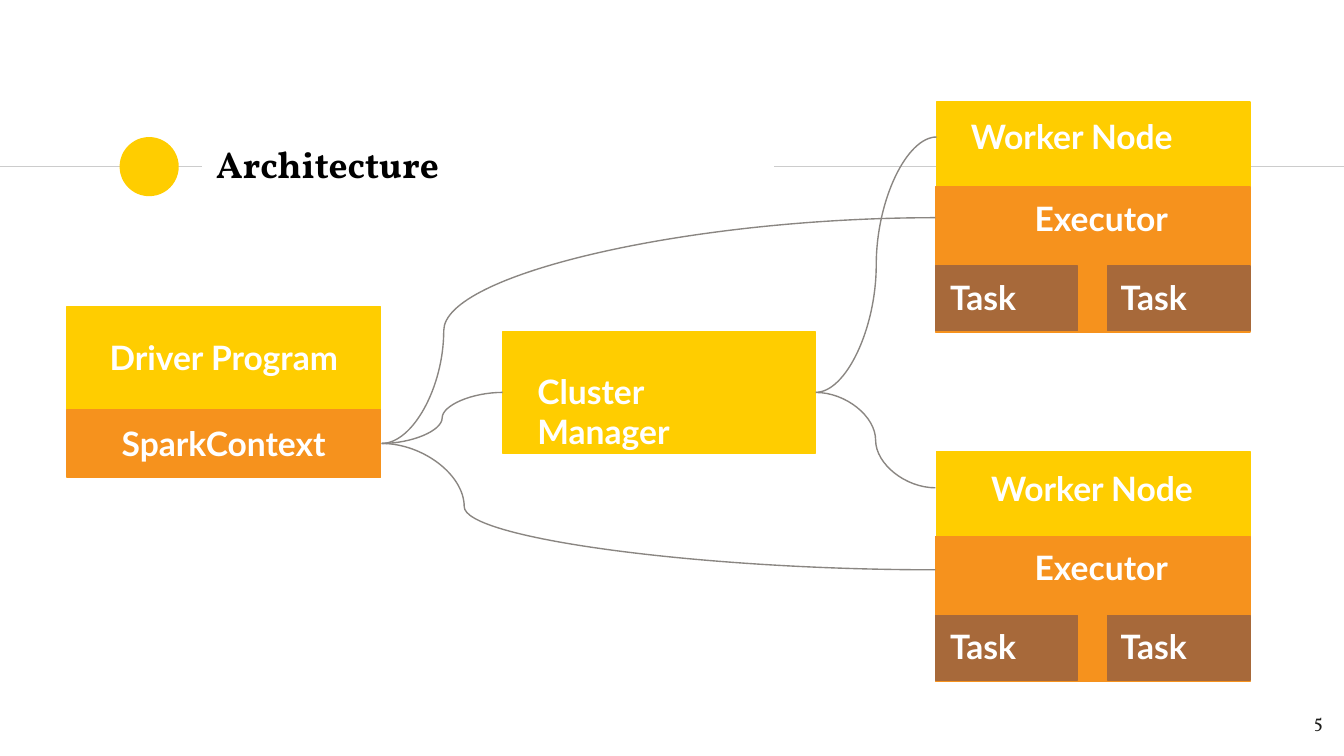
"""Build the cluster architecture slide."""
from pptx import Presentation
from pptx.dml.color import RGBColor
from pptx.enum.shapes import MSO_CONNECTOR, MSO_SHAPE
from pptx.enum.text import MSO_ANCHOR, PP_ALIGN
from pptx.oxml.ns import qn
from pptx.util import Inches, Pt
from lxml import etree

RECTANGLE, ELLIPSE = MSO_SHAPE.RECTANGLE, MSO_SHAPE.OVAL
STRAIGHT, CURVE = MSO_CONNECTOR.STRAIGHT, MSO_CONNECTOR.CURVE
LEFT, CENTER, RIGHT = PP_ALIGN.LEFT, PP_ALIGN.CENTER, PP_ALIGN.RIGHT
TOP, MIDDLE = MSO_ANCHOR.TOP, MSO_ANCHOR.MIDDLE

THEME = {
    "yellow": "FFCD00", "orange": "F6921D", "brown": "A7693A",
    "rule": "CCCCCC", "curve": "8A8682", "line_width": 0.75, "inset": 0.1,
    "title": {"name": "Vollkorn", "size": 20, "bold": True, "color": "000000"},
    "label": {"name": "Lato", "size": 18, "bold": True, "color": "FFFFFF"},
    "number": {"name": "Vollkorn", "size": 10, "bold": False, "color": "1D1D1B"},
}

PAGE_WIDTH, PAGE_HEIGHT = 10, 10 * 9 / 16
BLOCK_WIDTH, LABEL_WIDTH, LABEL_HEIGHT = 2.33, 2.01, 0.5
RULE_Y = 1.24
RULES = [(0, 1.5), (5.76, PAGE_WIDTH)]
DOT_SIZE = 0.44
TITLE = ("Architecture", (1.51, 0.98, 4.24, 0.48))
PAGE_NUMBER = ("5", (9.34, 5.2, 0.6, 0.43))

BLOCKS = [
    ((0.5, 2.28, BLOCK_WIDTH, 1.27), "yellow"),
    ((3.74, 2.47, BLOCK_WIDTH, 0.9), "yellow"),
]
LABELS = [
    ("Cluster Manager", (3.9, 2.66, LABEL_WIDTH, LABEL_HEIGHT), LEFT),
    ("Driver Program", (0.66, 2.41, LABEL_WIDTH, LABEL_HEIGHT), CENTER),
]
CONTEXT = ("SparkContext", (0.5, 3.05, BLOCK_WIDTH, LABEL_HEIGHT), "orange")

WORKERS = [
    {"top": 0.76, "label_at": (6.97, 0.76)},
    {"top": 3.36, "label_at": (7.12, 3.38)},
]
WORKER_LEFT = 6.97
EXECUTOR_LEFT = 6.96
TASK_COLUMNS = [(6.96, 6.97), (8.24, 8.24)]

CONTEXT_PORT, MANAGER_PORT = (2.84, 3.3), (6.07, 2.92)
CURVES = [
    (CONTEXT_PORT, (3.74, 2.92), 0.5),
    (CONTEXT_PORT, (6.96, 4.24), 0.149),
    (CONTEXT_PORT, (6.96, 1.62), 0.112),
    (MANAGER_PORT, (6.97, 1.02), 0.5),
    (MANAGER_PORT, (6.96, 3.63), 0.5),
]


def color(name):
    return RGBColor.from_string(THEME.get(name, name))


def add_block(page, place, fill, kind=RECTANGLE, outlined=True):
    block = page.shapes.add_shape(kind, *map(Inches, place))
    block.shadow.inherit = False
    block.fill.solid()
    block.fill.fore_color.rgb = color(fill)
    if outlined:
        block.line.color.rgb = color(fill)
        block.line.width = Pt(THEME["line_width"])
    else:
        block.line.fill.background()
    return block


def write(box, words, style="label", align=LEFT, anchor=TOP):
    frame = box.text_frame
    inset = Inches(THEME["inset"])
    settings = {"word_wrap": True, "vertical_anchor": anchor}
    settings.update({f"margin_{side}": inset
                     for side in ("left", "top", "right", "bottom")})
    for key, value in settings.items():
        setattr(frame, key, value)
    para = frame.paragraphs[0]
    para.alignment = align
    span = para.add_run()
    span.text = words
    look = THEME[style]
    font = {"name": look["name"], "size": Pt(look["size"]), "bold": look["bold"]}
    for key, value in font.items():
        setattr(span.font, key, value)
    span.font.color.rgb = color(look["color"])


def add_text(page, words, place, **look):
    write(page.shapes.add_textbox(*map(Inches, place)), words, **look)


def add_line(page, start, end, ink, kind=STRAIGHT, bend=None):
    line = page.shapes.add_connector(kind, *map(Inches, (*start, *end)))
    line.line.color.rgb = color(ink)
    line.line.width = Pt(THEME["line_width"])
    properties = line._element.spPr
    etree.SubElement(properties, qn("a:effectLst"))
    if bend is not None:
        geometry = properties.find(qn("a:prstGeom"))
        guides = geometry.find(qn("a:avLst"))
        if guides is None:
            guides = etree.SubElement(geometry, qn("a:avLst"))
        etree.SubElement(guides, qn("a:gd"), name="adj1",
                         fmla=f"val {round(bend * 100000)}")


def add_worker(page, top, label_at):
    add_block(page, (WORKER_LEFT, top, BLOCK_WIDTH, 1.68), "yellow")
    add_text(page, "Worker Node", (*label_at, LABEL_WIDTH, LABEL_HEIGHT), align=CENTER)
    add_block(page, (EXECUTOR_LEFT, top + 0.63, BLOCK_WIDTH + 0.01, 1.08), "orange")
    add_text(page, "Executor", (7.6, top + 0.61, 1.35, LABEL_HEIGHT))
    for block_left, label_left in TASK_COLUMNS:
        add_block(page, (block_left, top + 1.22, 1.06, 0.48), "brown")
        add_text(page, "Task", (label_left, top + 1.2, 0.71, LABEL_HEIGHT))


def main():
    deck = Presentation()
    deck.slide_width, deck.slide_height = Inches(PAGE_WIDTH), Inches(PAGE_HEIGHT)
    page = deck.slides.add_slide(deck.slide_layouts[6])
    for left, right in RULES:
        add_line(page, (left, RULE_Y), (right, RULE_Y), "rule")
    dot = (0.89, RULE_Y - DOT_SIZE / 2, DOT_SIZE, DOT_SIZE)
    add_block(page, dot, "yellow", ELLIPSE, outlined=False)
    add_text(page, *TITLE, style="title", anchor=MIDDLE)
    for place, fill in BLOCKS:
        add_block(page, place, fill)
    for words, place, align in LABELS:
        add_text(page, words, place, align=align)
    words, place, fill = CONTEXT
    write(add_block(page, place, fill), words, align=CENTER)
    for worker in WORKERS:
        add_worker(page, **worker)
    for start, end, bend in CURVES:
        add_line(page, start, end, "curve", CURVE, bend)
    add_text(page, *PAGE_NUMBER, style="number", align=RIGHT)
    deck.save("out.pptx")


if __name__ == "__main__":
    main()
